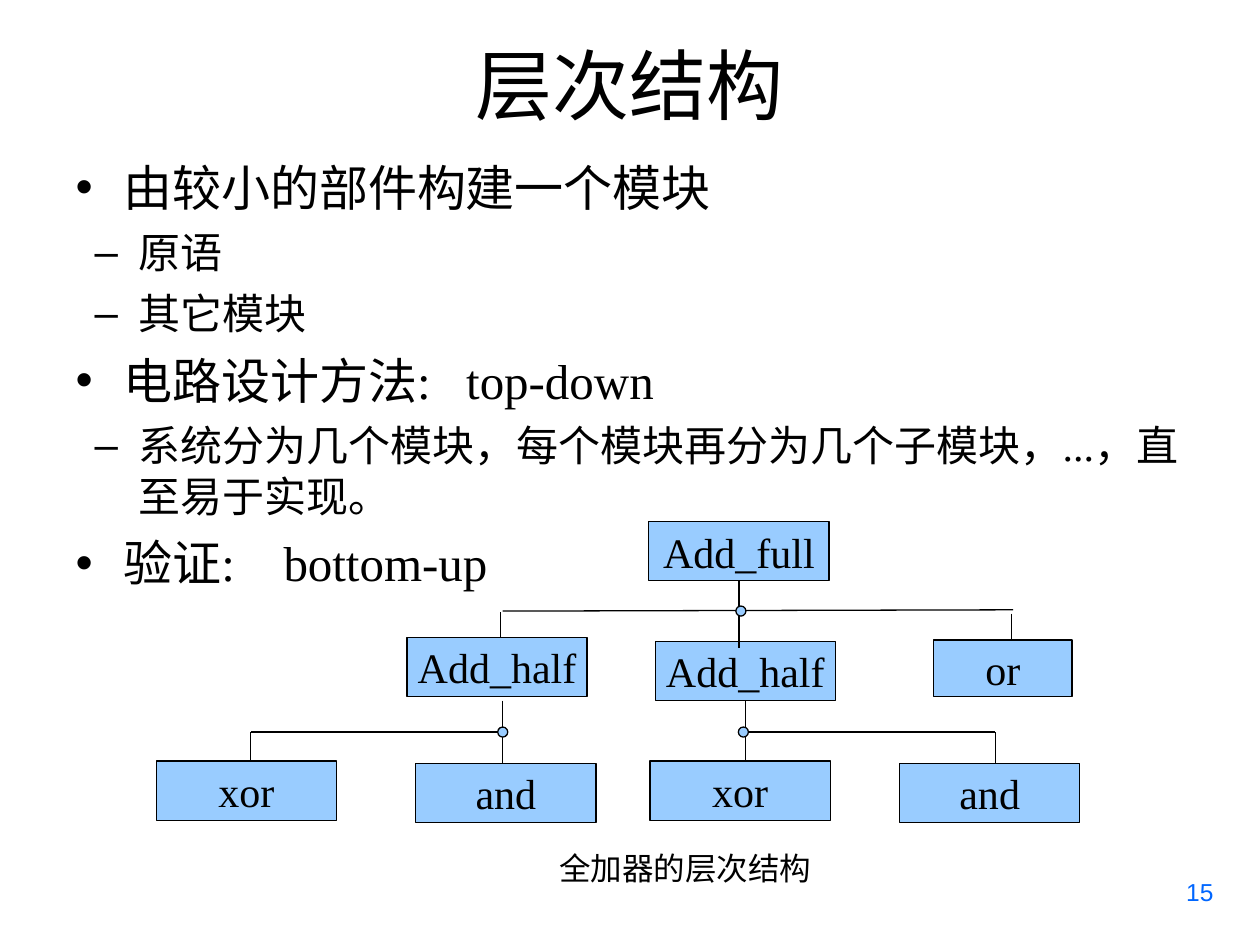
from dataclasses import dataclass

from lxml import etree
from pptx import Presentation
from pptx.dml.color import RGBColor
from pptx.enum.shapes import MSO_CONNECTOR, MSO_SHAPE
from pptx.enum.text import MSO_ANCHOR, MSO_AUTO_SIZE, PP_ALIGN
from pptx.oxml.ns import qn
from pptx.util import Inches, Pt

RECTANGLE, OVAL = MSO_SHAPE.RECTANGLE, MSO_SHAPE.OVAL
STRAIGHT = MSO_CONNECTOR.STRAIGHT
MIDDLE, BOTTOM, TOP = MSO_ANCHOR.MIDDLE, MSO_ANCHOR.BOTTOM, MSO_ANCHOR.TOP
LEFT, CENTER, RIGHT = PP_ALIGN.LEFT, PP_ALIGN.CENTER, PP_ALIGN.RIGHT
NO_FIT = MSO_AUTO_SIZE.NONE
BOTTOM_SIDE = 2

BLACK, PALE_BLUE, NUMBER_BLUE = "000000", "99CCFF", "0066FF"
SERIF, SANS = "Times New Roman", "Arial"
DOT_SIZE = 0.08


@dataclass(frozen=True)
class Level:
    bullet: str
    size: int
    before: int
    margin: float
    indent: float


@dataclass(frozen=True)
class Item:
    text: str
    level: int = 0
    tab: float | None = None


@dataclass(frozen=True)
class Module:
    name: str
    left: float
    top: float
    width: float = 1.43
    height: float = 0.47


@dataclass(frozen=True)
class Line:
    x1: float
    y1: float
    x2: float
    y2: float


LEVELS = [Level("•", 28, 7, 0.38, -0.38), Level("–", 24, 6, 0.5, -0.35)]
ITEMS = [
    Item("由较小的部件构建一个模块"),
    Item("原语", 1),
    Item("其它模块", 1),
    Item("电路设计方法:\ttop-down", tab=3.1),
    Item("系统分为几个模块，每个模块再分为几个子模块，...，直至易于实现。", 1),
    Item("验证:\tbottom-up", tab=1.65),
]
FULL_ADDER = Module("Add_full", 5.15, 4.14)
RIGHT_HALF = Module("Add_half", 5.2, 5.09)
OTHER_MODULES = [
    Module("or", 7.41, 5.08, 1.1, 0.45),
    Module("Add_half", 3.23, 5.06),
    Module("and", 7.14, 6.06),
    Module("xor", 5.16, 6.04),
    Module("and", 3.3, 6.06),
    Module("xor", 1.24, 6.04),
]
LINES = [
    Line(3.99, 4.85, 8.04, 4.84),
    Line(3.97, 4.86, 3.97, 5.06),
    Line(8.03, 4.87, 8.03, 5.07),
    Line(3.99, 5.56, 3.99, 6.06),
    Line(1.99, 5.81, 3.99, 5.81),
    Line(1.99, 5.81, 1.99, 6.04),
    Line(5.9, 5.81, 7.9, 5.81),
    Line(7.9, 5.81, 7.9, 6.06),
]
DOTS = [(5.88, 4.85), (5.9, 5.81), (3.99, 5.81)]


def color(value: str) -> RGBColor:
    return RGBColor.from_string(value)


def write(para, text: str, *, size: int, font: str, fill: str = BLACK, align=LEFT) -> None:
    """Add one formatted run to a paragraph."""
    para.alignment = align
    span = para.add_run()
    span.text = text
    span.font.size = Pt(size)
    span.font.name = font
    span.font.color.rgb = color(fill)


def place(shape, left: float, top: float, width: float, height: float) -> None:
    shape.left, shape.top = Inches(left), Inches(top)
    shape.width, shape.height = Inches(width), Inches(height)


def set_bullet(para, level: Level, tab: float | None) -> None:
    props = para._p.get_or_add_pPr()
    props.set("marL", str(Inches(level.margin)))
    props.set("indent", str(Inches(level.indent)))
    etree.SubElement(props, qn("a:buChar"), char=level.bullet)
    if tab is not None:
        stops = etree.SubElement(props, qn("a:tabLst"))
        etree.SubElement(stops, qn("a:tab"), pos=str(Inches(tab)), algn="l")


def fill_list(frame, items: list[Item]) -> None:
    for index, item in enumerate(items):
        level = LEVELS[item.level]
        para = frame.paragraphs[0] if index == 0 else frame.add_paragraph()
        para.level = item.level
        set_bullet(para, level, item.tab)
        para.space_before = Pt(level.before if index else 0)
        write(para, item.text, size=level.size, font=SERIF)


def paint(shape) -> None:
    shape.shadow.inherit = False
    shape.fill.solid()
    shape.fill.fore_color.rgb = color(PALE_BLUE)
    shape.line.color.rgb = color(BLACK)
    shape.line.width = Pt(0.75)


def add_module(page, module: Module):
    box = page.shapes.add_shape(RECTANGLE, Inches(module.left), Inches(module.top),
                                Inches(module.width), Inches(module.height))
    paint(box)
    box.text_frame.word_wrap = False
    box.text_frame.vertical_anchor = MIDDLE
    write(box.text_frame.paragraphs[0], module.name, size=24, font=SERIF, align=CENTER)
    return box


def add_line(page, line: Line):
    connector = page.shapes.add_connector(STRAIGHT, Inches(line.x1), Inches(line.y1),
                                          Inches(line.x2), Inches(line.y2))
    connector.line.color.rgb = color(BLACK)
    connector.line.width = Pt(0.75)
    etree.SubElement(connector._element.spPr, qn("a:effectLst"))
    return connector


def add_stem(page, box, module: Module, end: float) -> None:
    """Drop a vertical line from the middle of a module's lower side."""
    x = module.left + module.width / 2
    stem = add_line(page, Line(x, module.top + module.height, x, end))
    stem.begin_connect(box, BOTTOM_SIDE)


def add_dot(page, x: float, y: float) -> None:
    dot = page.shapes.add_shape(OVAL, Inches(x - DOT_SIZE / 2), Inches(y - DOT_SIZE / 2),
                                Inches(DOT_SIZE), Inches(DOT_SIZE))
    paint(dot)


def add_label(page, text: str, left: float, top: float, width: float, height: float,
              *, wrap: bool, **style) -> None:
    box = page.shapes.add_textbox(Inches(left), Inches(top), Inches(width), Inches(height))
    box.text_frame.word_wrap = wrap
    write(box.text_frame.paragraphs[0], text, font=SANS, **style)


def main() -> None:
    deck = Presentation()
    deck.slide_width, deck.slide_height = Inches(10), Inches(7.5)
    page = deck.slides.add_slide(deck.slide_layouts[1])

    # Title and list
    title, body = page.placeholders
    place(title, 0.5, 0.17, 9, 0.91)
    place(body, 0.5, 1.2, 9, 3.69)
    for shape, anchor in ((title, BOTTOM), (body, TOP)):
        shape.text_frame.auto_size = NO_FIT
        shape.text_frame.vertical_anchor = anchor
    write(title.text_frame.paragraphs[0], "层次结构", size=44, font=SANS, align=CENTER)
    fill_list(body.text_frame, ITEMS)

    # Module tree
    full_box = add_module(page, FULL_ADDER)
    half_box = add_module(page, RIGHT_HALF)
    for module in OTHER_MODULES:
        add_module(page, module)
    add_stem(page, full_box, FULL_ADDER, 5.14)
    add_stem(page, half_box, RIGHT_HALF, 6.04)
    for line in LINES:
        add_line(page, line)
    for x, y in DOTS:
        add_dot(page, x, y)

    # Caption and page number
    add_label(page, "全加器的层次结构", 4.34, 6.69, 2.2, 0.4, wrap=False, size=18)
    add_label(page, "15", 7.4, 6.91, 2.33, 0.52, wrap=True, size=14,
              fill=NUMBER_BLUE, align=RIGHT)

    deck.save("out.pptx")


if __name__ == "__main__":
    main()
